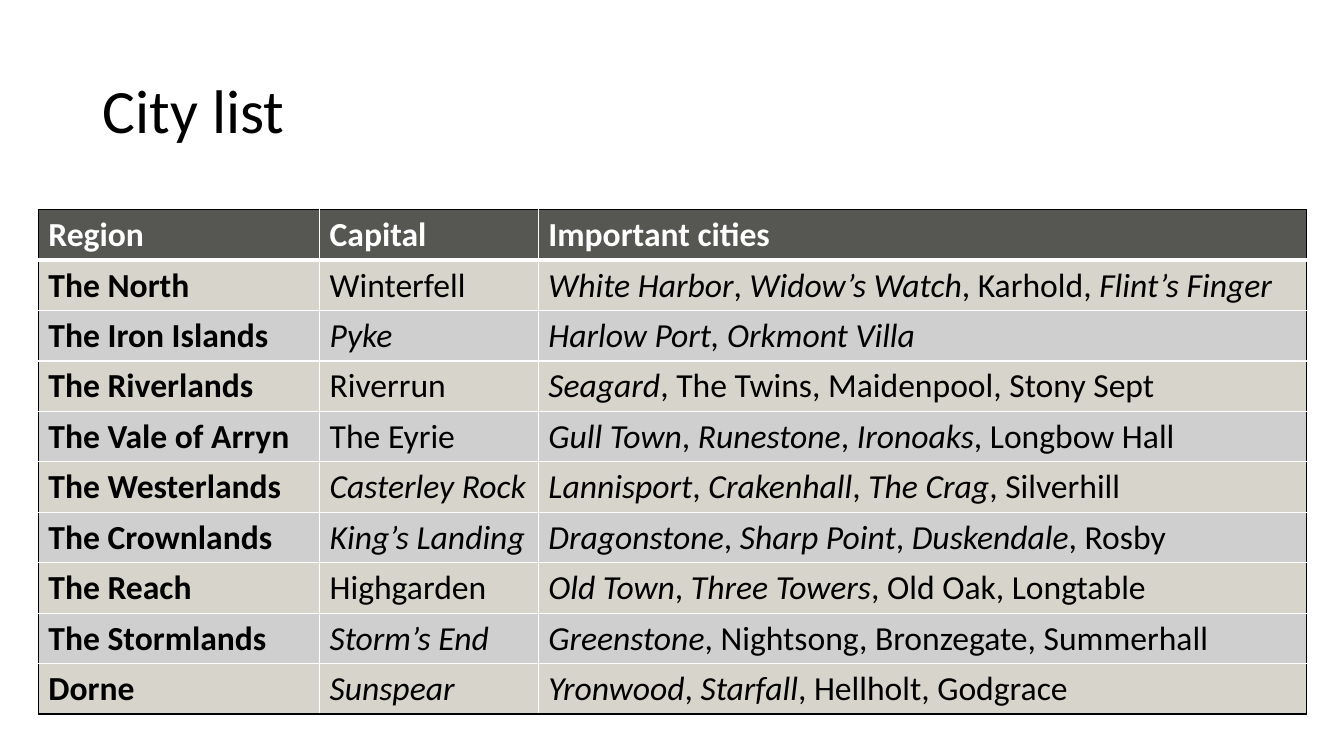
import dataclasses

import lxml.etree
import pptx
import pptx.dml.color
import pptx.enum.text
import pptx.oxml.ns
import pptx.util
from pptx.util import Inches


@dataclasses.dataclass(frozen=True)
class Theme:
    font: str = "Calibri"
    title_size: int = 44
    table_size: int = 24
    black: str = "000000"
    white: str = "FFFFFF"
    header: str = "565652"
    bands: tuple = ("D6D4CB", "CFCFCF")
    thin: int = 1
    thick: int = 3


THEME = Theme()

# Asterisks enclose the italic parts.
CITY_ROWS = [
    ("Region", "Capital", "Important cities"),
    ("The North", "Winterfell", "*White Harbor*, *Widow’s Watch*, Karhold, *Flint’s Finger*"),
    ("The Iron Islands", "*Pyke*", "*Harlow Port, Orkmont Villa*"),
    ("The Riverlands", "Riverrun", "*Seagard*, The Twins, Maidenpool, Stony Sept"),
    ("The Vale of Arryn", "The Eyrie", "*Gull Town*, *Runestone*, *Ironoaks*, Longbow Hall"),
    ("The Westerlands", "*Casterley Rock*", "*Lannisport*, *Crakenhall*, *The Crag*, Silverhill"),
    ("The Crownlands", "*King’s Landing*", "*Dragonstone*, *Sharp Point*, *Duskendale*, Rosby"),
    ("The Reach", "Highgarden", "*Old Town*, *Three Towers*, Old Oak, Longtable"),
    ("The Stormlands", "*Storm’s End*", "*Greenstone*, Nightsong, Bronzegate, Summerhall"),
    ("Dorne", "*Sunspear*", "*Yronwood*, *Starfall*, Hellholt, Godgrace"),
]
COLUMN_WIDTHS = (2.79, 2.17, 7.62)
ROW_HEIGHT = 0.5


def rgb(color):
    return pptx.dml.color.RGBColor.from_string(color)


def add_runs(para, marked_text, size, color, bold=False):
    """Add one run per piece of text; pieces between asterisks are italic."""
    for index, piece in enumerate(marked_text.split("*")):
        if piece:
            span = para.add_run()
            span.text = piece
            span.font.name = THEME.font
            span.font.size = pptx.util.Pt(size)
            span.font.color.rgb = rgb(color)
            span.font.bold = bold
            span.font.italic = index % 2 == 1


def add_title(page, text):
    box = page.shapes.add_textbox(Inches(0.92), Inches(0.4), Inches(11.5), Inches(1.45))
    frame = box.text_frame
    frame.word_wrap = True
    frame.vertical_anchor = pptx.enum.text.MSO_ANCHOR.MIDDLE
    para = frame.paragraphs[0]
    para.line_spacing = 0.9
    add_runs(para, text, THEME.title_size, THEME.black)


def set_border(cell, side, color, width):
    qn = pptx.oxml.ns.qn
    properties = cell._tc.get_or_add_tcPr()
    line = lxml.etree.SubElement(properties, qn(f"a:ln{side}"), w=str(pptx.util.Pt(width)))
    fill = lxml.etree.SubElement(line, qn("a:solidFill"))
    lxml.etree.SubElement(fill, qn("a:srgbClr"), val=color)


def style_cell(cell, row, column):
    """Draw a black outer frame, white inner rules and the banded fill."""
    last_row, last_column = len(CITY_ROWS) - 1, len(COLUMN_WIDTHS) - 1
    outer_sides = {
        "L": column == 0,
        "R": column == last_column,
        "T": row == 0,
        "B": row == last_row,
    }
    for side, outer in outer_sides.items():
        below_header = (row, side) in ((0, "B"), (1, "T"))
        set_border(cell, side, THEME.black if outer else THEME.white,
                   THEME.thick if below_header else THEME.thin)
    cell.fill.solid()
    cell.fill.fore_color.rgb = rgb(THEME.bands[(row - 1) % 2] if row else THEME.header)


def add_city_table(page):
    frame = page.shapes.add_table(
        len(CITY_ROWS), len(COLUMN_WIDTHS), Inches(0.38), Inches(2.08),
        Inches(sum(COLUMN_WIDTHS)), Inches(ROW_HEIGHT * len(CITY_ROWS)))
    table = frame.table
    for column, width in zip(table.columns, COLUMN_WIDTHS):
        column.width = Inches(width)
    for row, texts in enumerate(CITY_ROWS):
        for column, text in enumerate(texts):
            cell = table.cell(row, column)
            style_cell(cell, row, column)
            add_runs(cell.text_frame.paragraphs[0], text, THEME.table_size,
                     THEME.black if row else THEME.white,
                     bold=row == 0 or column == 0)


def main():
    deck = pptx.Presentation()
    deck.slide_width, deck.slide_height = Inches(13.33), Inches(7.5)
    page = deck.slides.add_slide(deck.slide_layouts[6])
    add_title(page, "City list")
    add_city_table(page)
    deck.save("out.pptx")


if __name__ == "__main__":
    main()
